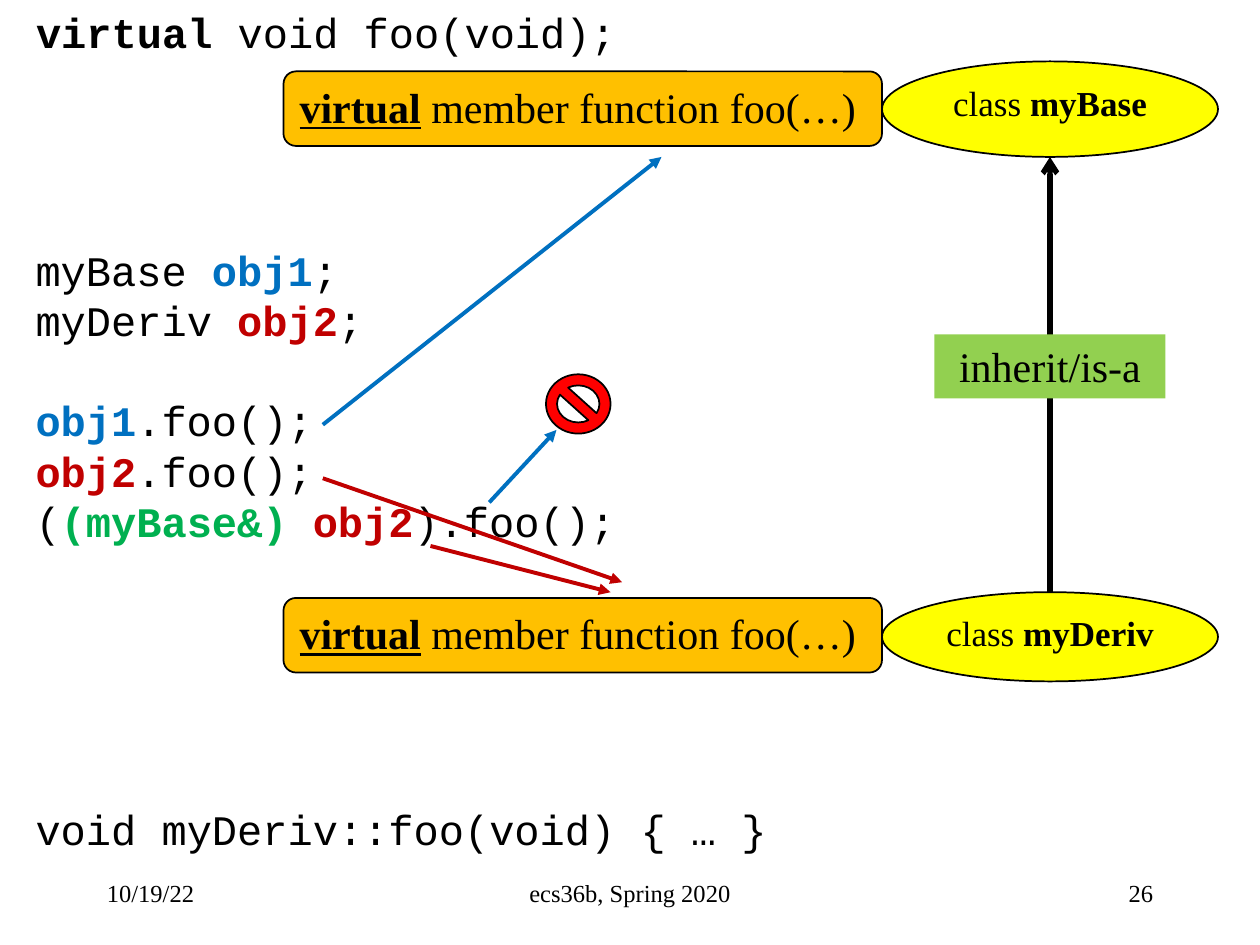
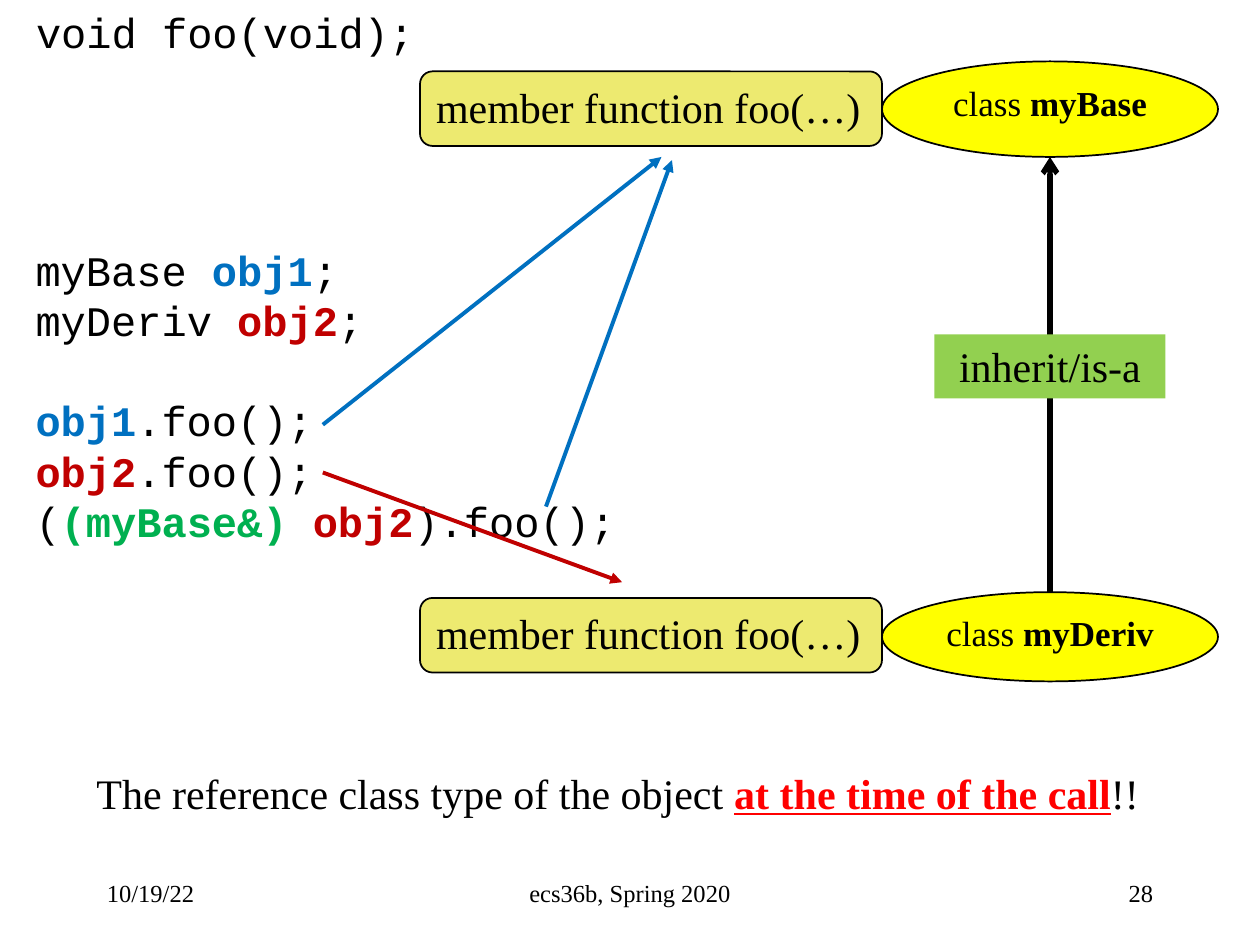
from lxml import etree
from pptx import Presentation
from pptx import util as u
from pptx.dml.color import RGBColor
from pptx.enum import shapes, text
from pptx.oxml.ns import qn

COLUMNS, ROWS = 120, 90
WIDTH, HEIGHT = u.Inches(10), u.Inches(7.5)

BLACK, BLUE, RED, GREEN = "000000", "0070C0", "C00000", "00B050"
YELLOW, ORANGE, KHAKI, LIME, ALERT = "FFFF00", "FFC000", "EDEA70", "92D050", "FF0000"
SERIF, MONO = "Times New Roman", "Courier New"
CODE_PITCH = 28.7  # points from one code line to the next

LEFT, CENTER, RIGHT = text.PP_ALIGN.LEFT, text.PP_ALIGN.CENTER, text.PP_ALIGN.RIGHT
OBJ1, OBJ2 = ("obj1", BLUE, "b"), ("obj2", RED, "b")
CALLS = [
    ["myBase ", OBJ1, ";"],
    ["myDeriv ", OBJ2, ";"],
    [OBJ1, ".foo();"],
    [OBJ2, ".foo();"],
    ["(", ("(myBase&) ", GREEN, "b"), OBJ2, ").foo();"],
]
FIRST_CALL = 2


def color(hex_code):
    return RGBColor.from_string(hex_code)


def col(n):
    return round(WIDTH * n / COLUMNS)


def row(n):
    return round(HEIGHT * n / ROWS)


def place(x, y, w, h):
    return col(x), row(y), col(w), row(h)


def write(shape, lines, size=24, font=SERIF, align=LEFT,
          anchor=text.MSO_ANCHOR.TOP, pitch=None, gap_before=None):
    """Each line is a list of runs: plain strings or (string, colour, style),
    where style holds "b" for bold and "u" for underlined.
    gap_before is the index of a line that follows one empty line's height."""
    frame = shape.text_frame
    frame.word_wrap = True
    frame.vertical_anchor = anchor
    for i, runs in enumerate(lines):
        paragraph = frame.paragraphs[0] if i == 0 else frame.add_paragraph()
        paragraph.alignment = align
        if pitch:
            paragraph.line_spacing = u.Pt(pitch)
        if i and i == gap_before:
            paragraph.space_before = u.Pt(pitch)
        for part in runs:
            words, ink, style = (part, BLACK, "") if isinstance(part, str) else part
            run = paragraph.add_run()
            run.text = words
            run.font.name, run.font.size = font, u.Pt(size)
            run.font.color.rgb = color(ink)
            run.font.bold = "b" in style
            run.font.underline = "u" in style


def textbox(slide, box, lines, **style):
    write(slide.shapes.add_textbox(*place(*box)), lines, **style)


def code(slide, box, lines, **style):
    textbox(slide, box, lines, font=MONO, pitch=CODE_PITCH, **style)


def block(slide, kind, box, fill, outlined=True):
    shape = slide.shapes.add_shape(kind, *place(*box))
    shape.shadow.inherit = False
    shape.fill.solid()
    shape.fill.fore_color.rgb = color(fill)
    if outlined:
        shape.line.color.rgb = color(BLACK)
        shape.line.width = u.Pt(1)
    else:
        shape.line.fill.background()
    return shape


def arrow(slide, start, end, ink, width=2.25, head="triangle"):
    line = slide.shapes.add_connector(
        shapes.MSO_CONNECTOR.STRAIGHT,
        col(start[0]), row(start[1]), col(end[0]), row(end[1]))
    line.line.color.rgb = color(ink)
    line.line.width = u.Pt(width)
    etree.SubElement(line.line._get_or_add_ln(), qn("a:tailEnd"), type=head)
    etree.SubElement(line._element.spPr, qn("a:effectLst"))
    return line


def footer(slide, number):
    for x, w, words, align in ((9, 25, "10/19/22", LEFT),
                               (41, 38, "ecs36b, Spring 2020", CENTER),
                               (86, 25, number, RIGHT)):
        textbox(slide, (x, 82, w, 6), [[words]], size=14, align=align,
                anchor=text.MSO_ANCHOR.MIDDLE)


def class_ellipse(slide, name, y, h):
    ellipse = block(slide, shapes.MSO_SHAPE.OVAL, (84, y, 32, h), YELLOW)
    write(ellipse, [["class ", (name, BLACK, "b")]], size=20, align=CENTER)
    return ellipse


def class_hierarchy(slide):
    base_top, base_height, derived_top = 5.85, 9.1, 56.4
    class_ellipse(slide, "myBase", base_top, base_height)
    derived = class_ellipse(slide, "myDeriv", derived_top, 8.5)
    inherits = arrow(slide, (100, derived_top), (100, base_top + base_height),
                     BLACK, width=3, head="arrow")
    inherits.begin_connect(derived, 0)
    label = block(slide, shapes.MSO_SHAPE.RECTANGLE, (89, 31.85, 22, 6.1), LIME,
                  outlined=False)
    write(label, [["inherit/is-a"]], align=CENTER)


def member_functions(slide, x, fill, runs):
    """The same function box beside each class, ending at the ellipses."""
    for y in (6.8, 56.95):
        box = block(slide, shapes.MSO_SHAPE.ROUNDED_RECTANGLE, (x, y, 84 - x, 7.1), fill)
        write(box, [runs])


def call_slide(deck, number, declaration, function_x, function_fill, function_runs):
    """Everything that the two kinds of call have in common."""
    slide = deck.slides.add_slide(deck.slide_layouts[6])
    footer(slide, number)
    class_hierarchy(slide)
    member_functions(slide, function_x, function_fill, function_runs)
    code(slide, (2.2, 22.7, 58, 30.2), CALLS, gap_before=FIRST_CALL)
    code(slide, (2.25, 0, 58, 6.1), [declaration])
    arrow(slide, (30.75, 40.45), (63, 14.95), BLUE)
    return slide


def virtual_slide(deck):
    slide = call_slide(deck, "26", [("virtual", BLACK, "b"), " void foo(void);"], 27, ORANGE,
                       [("virtual", BLACK, "bu"), " member function foo(…)"])
    arrow(slide, (30.75, 45.55), (59.25, 55.45), RED)
    arrow(slide, (41, 52), (58.15, 56.4), RED)
    arrow(slide, (46.6, 47.85), (53, 40.95), BLUE)
    block(slide, shapes.MSO_SHAPE.NO_SYMBOL, (52, 35.65, 6.15, 5.65), ALERT)
    code(slide, (2.2, 75.95, 72.6, 6.1), [["void myDeriv::foo(void) { … }"]])


def plain_slide(deck):
    slide = call_slide(deck, "28", ["void foo(void);"], 40, KHAKI,
                       ["member function foo(…)"])
    arrow(slide, (52, 48.25), (64, 15.25), BLUE)
    arrow(slide, (30.75, 45), (59.25, 55.45), RED)
    textbox(slide, (8, 72.5, 102.6, 6.1),
            [["The reference class type of the object ",
              ("at the time of the call", ALERT, "bu"), "!!"]])


def main():
    deck = Presentation()
    deck.slide_width, deck.slide_height = WIDTH, HEIGHT
    virtual_slide(deck)
    plain_slide(deck)
    deck.save("out.pptx")


if __name__ == "__main__":
    main()
